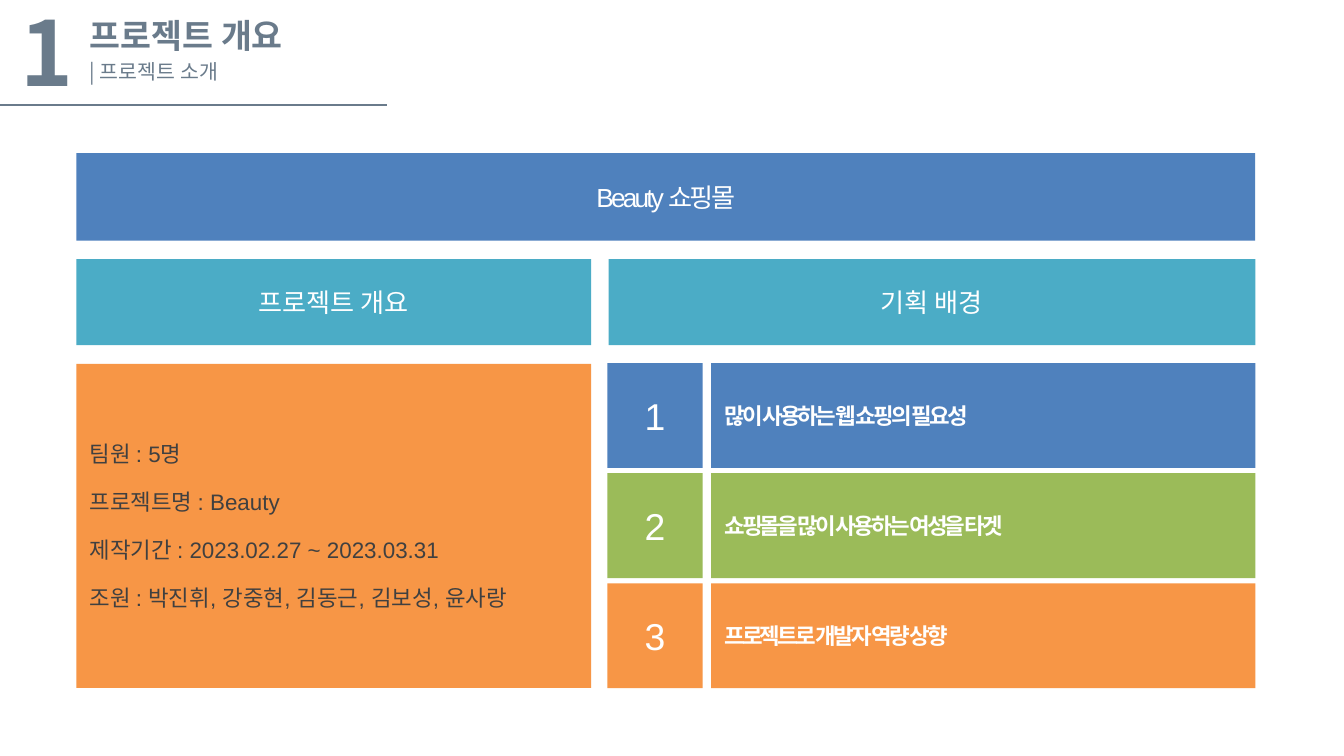
from pptx import Presentation
from pptx.dml.color import RGBColor
from pptx.enum.shapes import MSO_CONNECTOR, MSO_SHAPE
from pptx.enum.text import MSO_ANCHOR, PP_ALIGN
from pptx.oxml.ns import qn
from pptx.util import Pt
from lxml.etree import SubElement

SLATE, WHITE, DARK = "6A7B8B", "FFFFFF", "404040"
BLUE, TEAL, GREEN, ORANGE = "4F81BD", "4BACC6", "9BBB59", "F79646"
KOREAN = "Noto Sans CJK KR"
LEFT, RIGHT = 41, 672.5

HEADING = dict(name=KOREAN, size=18, color=SLATE, bold=True)
NUMBER = dict(HEADING, size=48)
SUBHEADING = dict(name=KOREAN, size=11, color=SLATE)
COLUMN = dict(name="Arial", size=14, color=WHITE)
BANNER = dict(COLUMN, spacing=-1.5)
RANK = dict(BANNER, size=20)
REASON = dict(BANNER, size=12, bold=True)
FACT = dict(name="Arial", size=12, color=DARK)

FACTS = [
    "팀원 : 5명",
    "프로젝트명 : Beauty",
    "제작기간 : 2023.02.27 ~ 2023.03.31",
    "조원 : 박진휘, 강중현, 김동근, 김보성, 윤사랑",
]
REASONS = [
    ("많이 사용하는 웹 쇼핑의 필요성", BLUE),
    ("쇼핑몰을 많이 사용하는 여성을 타겟", GREEN),
    ("프로젝트로 개발자 역량 상향", ORANGE),
]


def paint(fmt, color):
    """Give a fill, or any other paintable format, a solid hex colour."""
    fmt.solid()
    fmt.fore_color.rgb = RGBColor.from_string(color)


def format_run(r, style):
    """Apply a style dict to a run, for Latin and Korean letters."""
    values = dict(style)
    paint(r.font.fill, values.pop("color"))
    spacing = values.pop("spacing", 0)
    values["size"] = Pt(values["size"])
    for key, value in values.items():
        setattr(r.font, key, value)
    rPr = r._r.get_or_add_rPr()
    SubElement(rPr, qn("a:ea")).set("typeface", KOREAN)
    if spacing:
        rPr.set("spc", str(int(spacing * 100)))


def write(tf, lines, style, align, gap=0):
    """Write one paragraph per line, with a gap between paragraphs."""
    tf.word_wrap = True
    for i, line in enumerate(lines):
        p = tf.add_paragraph() if i else tf.paragraphs[0]
        p.alignment = align
        p.space_before = Pt(gap if i else 0)
        r = p.add_run()
        r.text = line
        format_run(r, style)


def add_label(s, at, text, style, align=PP_ALIGN.LEFT):
    """Add a text box of one line."""
    sp = s.shapes.add_textbox(*map(Pt, at))
    write(sp.text_frame, [text], style, align)


def add_box(s, at, color, lines=(), style=None, align=PP_ALIGN.CENTER, gap=0):
    """Add a flat rectangle with vertically centred text."""
    sp = s.shapes.add_shape(MSO_SHAPE.RECTANGLE, *map(Pt, at))
    sp.shadow.inherit = False
    paint(sp.fill, color)
    sp.line.fill.background()
    sp.text_frame.vertical_anchor = MSO_ANCHOR.MIDDLE
    write(sp.text_frame, lines, style, align, gap)


def add_rule(s, start, end, color):
    """Add a straight line one point wide."""
    sp = s.shapes.add_connector(MSO_CONNECTOR.STRAIGHT, *map(Pt, start + end))
    sp.line.width = Pt(1)
    paint(sp.line.fill, color)
    SubElement(sp._element.spPr, qn("a:effectLst"))


def add_header(s):
    """Add the section number, title, subtitle and rule."""
    add_rule(s, (0, 56.2), (207.5, 56.2), SLATE)
    add_label(s, (LEFT, 4.3, 176, 45.4), "프로젝트 개요", HEADING)
    add_label(s, (0, -5, 50.4, 45.4), "1", NUMBER, PP_ALIGN.CENTER)
    add_label(s, (LEFT, 28, 166, 17.3), "| 프로젝트 소개", SUBHEADING)


def add_reasons(s):
    """Add the numbered rows of the right column."""
    for i, (reason, color) in enumerate(REASONS):
        top = 194.5 + 59 * i
        add_box(s, (325.4, top, 51, 56.2), color, [str(i + 1)], RANK)
        add_box(s, (381, top, RIGHT - 381, 56.2), color, [reason], REASON, PP_ALIGN.LEFT)


def main():
    """Build the slide and save it."""
    prs = Presentation()
    prs.slide_width, prs.slide_height = Pt(720), Pt(405)
    s = prs.slides.add_slide(prs.slide_layouts[6])
    paint(s.background.fill, SLATE)
    add_box(s, (0, 0, 720, 405), WHITE)
    add_header(s)
    add_box(s, (LEFT, 82, RIGHT - LEFT, 47), BLUE, ["Beauty 쇼핑몰"], BANNER)
    add_box(s, (LEFT, 138.8, 275.7, 46.2), TEAL, ["프로젝트 개요"], COLUMN)
    add_box(s, (326, 138.8, RIGHT - 326, 46.2), TEAL, ["기획 배경"], COLUMN)
    add_box(s, (LEFT, 195, 275.7, 173.6), ORANGE, FACTS, FACT, PP_ALIGN.LEFT, 11.3)
    add_reasons(s)
    prs.save("out.pptx")


if __name__ == "__main__":
    main()
